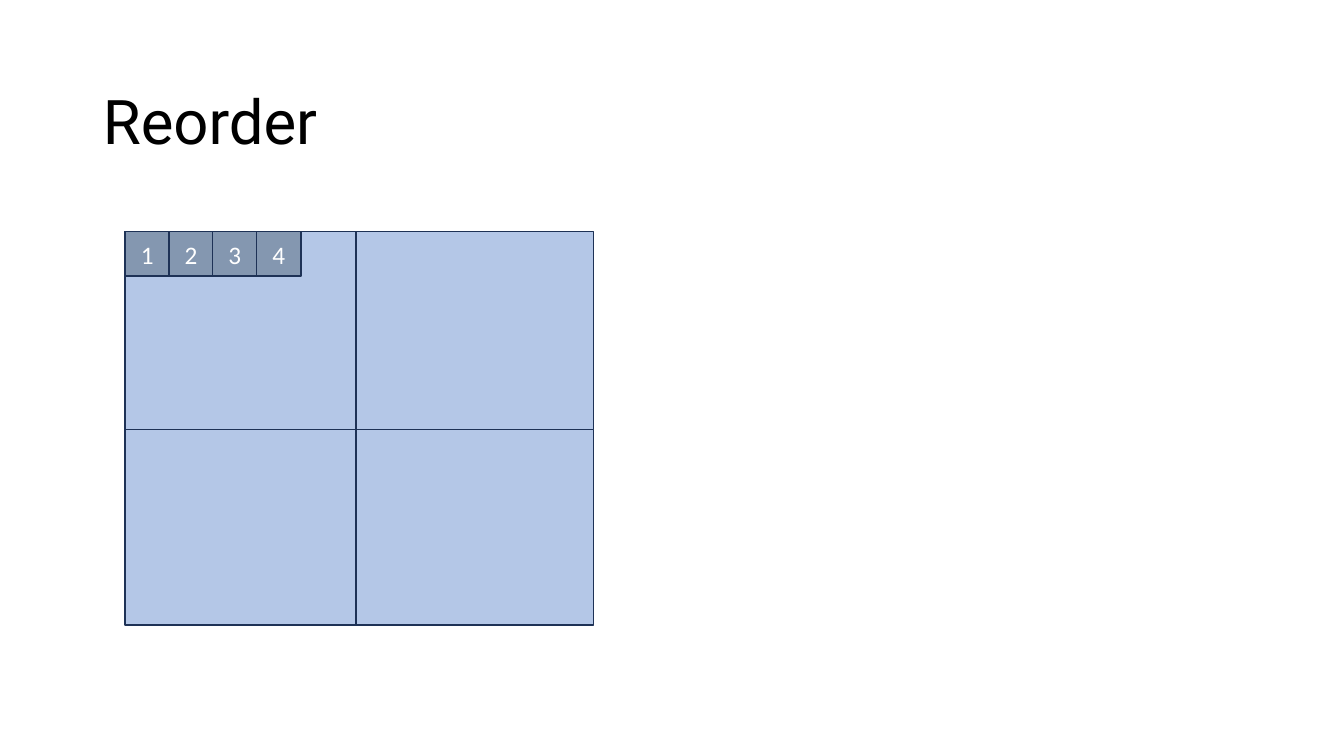
from dataclasses import dataclass
from itertools import product

from pptx import Presentation
from pptx import util as u
from pptx.dml.color import RGBColor
from pptx.enum import shapes, text


@dataclass(frozen=True)
class Theme:
    block_fill: RGBColor = RGBColor(0xB4, 0xC7, 0xE7)
    item_fill: RGBColor = RGBColor(0x84, 0x97, 0xB0)
    outline: RGBColor = RGBColor(0x1E, 0x32, 0x56)
    title_color: RGBColor = RGBColor(0, 0, 0)
    item_color: RGBColor = RGBColor(0xFF, 0xFF, 0xFF)
    title_font: str = "Roboto"
    item_font: str = "Calibri"
    title_size: u.Pt = u.Pt(44)
    item_size: u.Pt = u.Pt(18)
    line_width: u.Pt = u.Pt(1)


THEME = Theme()

# Grid, in inches
COLUMN_EDGES = (1.24, 3.53, 5.89)
ROW_EDGES = (2.3, 4.26, 6.2)
ITEM_SIDE = 0.44
ITEM_STEP = 0.435


def set_font(paragraph, name, size, color):
    paragraph.font.name = name
    paragraph.font.size = size
    paragraph.font.color.rgb = color


def add_title(slide, wording):
    title = slide.shapes.title
    title.left, title.top = u.Inches(0.92), u.Inches(0.51)
    title.width, title.height = u.Inches(11.5), u.Inches(1.45)
    frame = title.text_frame
    frame.text = wording
    frame.word_wrap = True
    frame.vertical_anchor = text.MSO_ANCHOR.MIDDLE
    heading = frame.paragraphs[0]
    heading.alignment = text.PP_ALIGN.LEFT
    heading.line_spacing = 0.9
    set_font(heading, THEME.title_font, THEME.title_size, THEME.title_color)


def add_box(slide, left, top, width, height, fill):
    box = slide.shapes.add_shape(
        shapes.MSO_SHAPE.RECTANGLE, *map(u.Inches, (left, top, width, height)))
    box.shadow.inherit = False
    box.fill.solid()
    box.fill.fore_color.rgb = fill
    box.line.color.rgb = THEME.outline
    box.line.width = THEME.line_width
    return box


def add_block(slide, row, column):
    left, right = COLUMN_EDGES[column:column + 2]
    top, bottom = ROW_EDGES[row:row + 2]
    add_box(slide, left, top, right - left, bottom - top, THEME.block_fill)


def add_item(slide, index, label):
    item = add_box(slide, COLUMN_EDGES[0] + index * ITEM_STEP, ROW_EDGES[0],
                   ITEM_SIDE, ITEM_SIDE, THEME.item_fill)
    frame = item.text_frame
    frame.text = label
    frame.vertical_anchor = text.MSO_ANCHOR.MIDDLE
    number = frame.paragraphs[0]
    number.alignment = text.PP_ALIGN.CENTER
    set_font(number, THEME.item_font, THEME.item_size, THEME.item_color)


def main():
    deck = Presentation()
    deck.slide_width, deck.slide_height = u.Inches(13.33), u.Inches(7.5)
    slide = deck.slides.add_slide(deck.slide_layouts.get_by_name("Title Only"))

    add_title(slide, "Reorder")

    # Two by two blocks
    for row, column in product(range(2), repeat=2):
        add_block(slide, row, column)

    # Numbered items along the top of the first block
    for index, label in enumerate("1234"):
        add_item(slide, index, label)

    deck.save("out.pptx")


if __name__ == "__main__":
    main()
